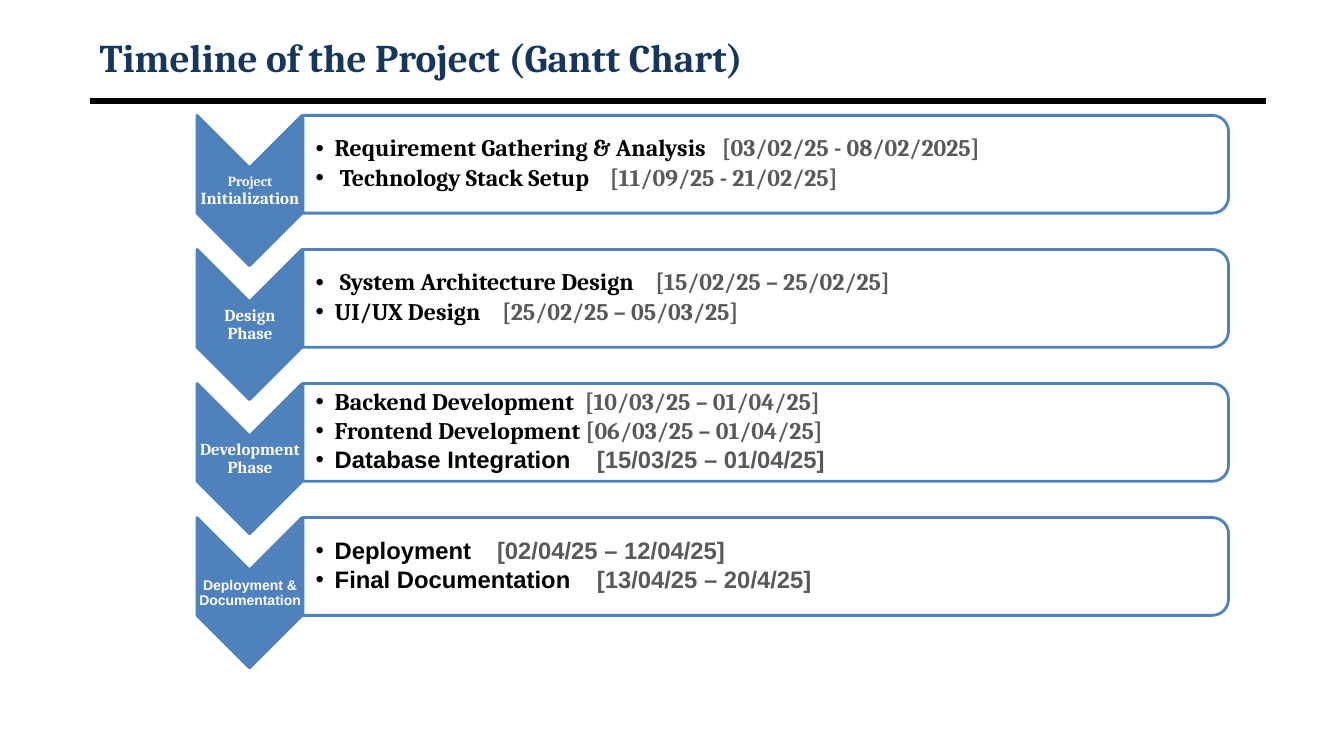
from lxml import etree
from pptx import Presentation
from pptx.dml.color import RGBColor
from pptx.enum.shapes import MSO_CONNECTOR, MSO_SHAPE
from pptx.enum.text import MSO_ANCHOR, PP_ALIGN
from pptx.oxml.ns import qn
from pptx.util import Inches, Pt

STRAIGHT = MSO_CONNECTOR.STRAIGHT
CHEVRON = MSO_SHAPE.CHEVRON
ROUND_TOP = MSO_SHAPE.ROUND_2_SAME_RECTANGLE
MIDDLE = MSO_ANCHOR.MIDDLE
LEFT, CENTER = PP_ALIGN.LEFT, PP_ALIGN.CENTER

BLUE, NAVY, WHITE, BLACK, GRAY = "4F81BD", "17365D", "FFFFFF", "000000", "595959"
SERIF, SANS = "Cambria", "Arial"
PHASE_STEP = 1.33

PHASES = [
    ([("Project ", 10), ("Initialization", 12)], SERIF, [
        ("Requirement Gathering & Analysis", "[03/02/25 - 08/02/2025]", SERIF, 4.03),
        (" Technology Stack Setup", "[11/09/25 - 21/02/25]", SERIF, 2.92),
    ]),
    ([("Design\vPhase", 12)], SERIF, [
        (" System Architecture Design", "[15/02/25 – 25/02/25]", SERIF, 3.37),
        ("UI/UX Design", "[25/02/25 – 05/03/25]", SERIF, 1.85),
    ]),
    ([("Development Phase", 12)], SERIF, [
        ("Backend Development", "[10/03/25 – 01/04/25]", SERIF, 2.67),
        ("Frontend Development", "[06/03/25 – 01/04/25]", SERIF, 2.68),
        ("Database Integration", "[15/03/25 – 01/04/25]", SANS, 2.79),
    ]),
    ([("Deployment & Documentation", 10)], SANS, [
        ("Deployment", "[02/04/25 – 12/04/25]", SANS, 1.8),
        ("Final Documentation", "[13/04/25 – 20/4/25]", SANS, 2.79),
    ]),
]


def color(hex_code):
    return RGBColor.from_string(hex_code)


def add_rule(page):
    rule = page.shapes.add_connector(
        STRAIGHT, Inches(0.89), Inches(1), Inches(12.56), Inches(1))
    rule.line.color.rgb = color(BLACK)
    rule.line.width = Pt(4.5)
    etree.SubElement(rule._element.spPr, qn("a:effectLst"))


def add_turned_shape(page, kind, left, top, width, height, fill):
    shape = page.shapes.add_shape(
        kind, Inches(left), Inches(top), Inches(width), Inches(height))
    shape.rotation = 90
    shape.shadow.inherit = False
    shape.fill.solid()
    shape.fill.fore_color.rgb = color(fill)
    shape.line.color.rgb = color(BLUE)
    shape.line.width = Pt(2)


def add_text_frame(page, left, top, width, height, side=0.01, edge=0.01):
    box = page.shapes.add_textbox(
        Inches(left), Inches(top), Inches(width), Inches(height))
    frame = box.text_frame
    frame.word_wrap = True
    frame.vertical_anchor = MIDDLE
    frame.margin_left = Inches(side)
    frame.margin_right = Inches(edge)
    frame.margin_top = frame.margin_bottom = Inches(edge)
    return frame


def style_para(para, align, space_after):
    para.alignment = align
    para.line_spacing = 0.9
    para.space_after = Pt(space_after)


def format_span(span, size, font, hex_code):
    span.font.size = Pt(size)
    span.font.name = font
    span.font.bold = True
    span.font.color.rgb = color(hex_code)


def add_bullet(para, date_offset):
    properties = para._p.get_or_add_pPr()
    properties.set("marL", str(Inches(0.19)))
    properties.set("indent", str(-Inches(0.19)))
    bullet_color = etree.SubElement(properties, qn("a:buClr"))
    etree.SubElement(bullet_color, qn("a:srgbClr"), val=BLACK)
    etree.SubElement(properties, qn("a:buFont"), typeface=SANS)
    etree.SubElement(properties, qn("a:buChar"), char="•")
    tabs = etree.SubElement(properties, qn("a:tabLst"))
    etree.SubElement(tabs, qn("a:tab"), pos=str(Inches(date_offset)), algn="l")


def add_title(page):
    frame = add_text_frame(page, 0.89, 0.3, 11.67, 0.53, 0.1, 0.05)
    frame.text = "Timeline of the Project (Gantt Chart)"
    format_span(frame.paragraphs[0].runs[0], 28, SERIF, NAVY)


def add_phase_name(page, top, parts, font):
    para = add_text_frame(page, 1.96, top, 1.04, 0.45).paragraphs[0]
    para.text = parts[0][0]
    for words, _ in parts[1:]:
        para.add_run().text = words
    for span in para.runs:
        format_span(span, parts[-1][1], font, WHITE)
    para.runs[0].font.size = Pt(parts[0][1])
    style_para(para, CENTER, 4)


def add_tasks(page, top, tasks):
    frame = add_text_frame(page, 3, top, 9.14, 0.87, 0.13)
    for index, (task, dates, font, date_offset) in enumerate(tasks):
        para = frame.add_paragraph() if index else frame.paragraphs[0]
        style_para(para, LEFT, 2.5)
        add_bullet(para, date_offset)
        for words, hex_code in ((task + "\t", BLACK), (dates, GRAY)):
            span = para.add_run()
            span.text = words
            format_span(span, 17, font, hex_code)


def add_phase(page, offset, parts, font, tasks):
    add_turned_shape(page, CHEVRON, 1.73, 1.37 + offset, 1.49, 1.04, BLUE)
    add_phase_name(page, 1.67 + offset, parts, font)
    add_turned_shape(page, ROUND_TOP, 7.11, -2.96 + offset, 0.97, 9.18, WHITE)
    add_tasks(page, 1.19 + offset, tasks)


def main():
    deck = Presentation()
    deck.slide_width = Inches(13.33)
    deck.slide_height = Inches(7.5)
    page = deck.slides.add_slide(deck.slide_layouts[6])
    add_rule(page)
    add_title(page)
    for index, (parts, font, tasks) in enumerate(PHASES):
        add_phase(page, index * PHASE_STEP, parts, font, tasks)
    deck.save("out.pptx")


if __name__ == "__main__":
    main()
